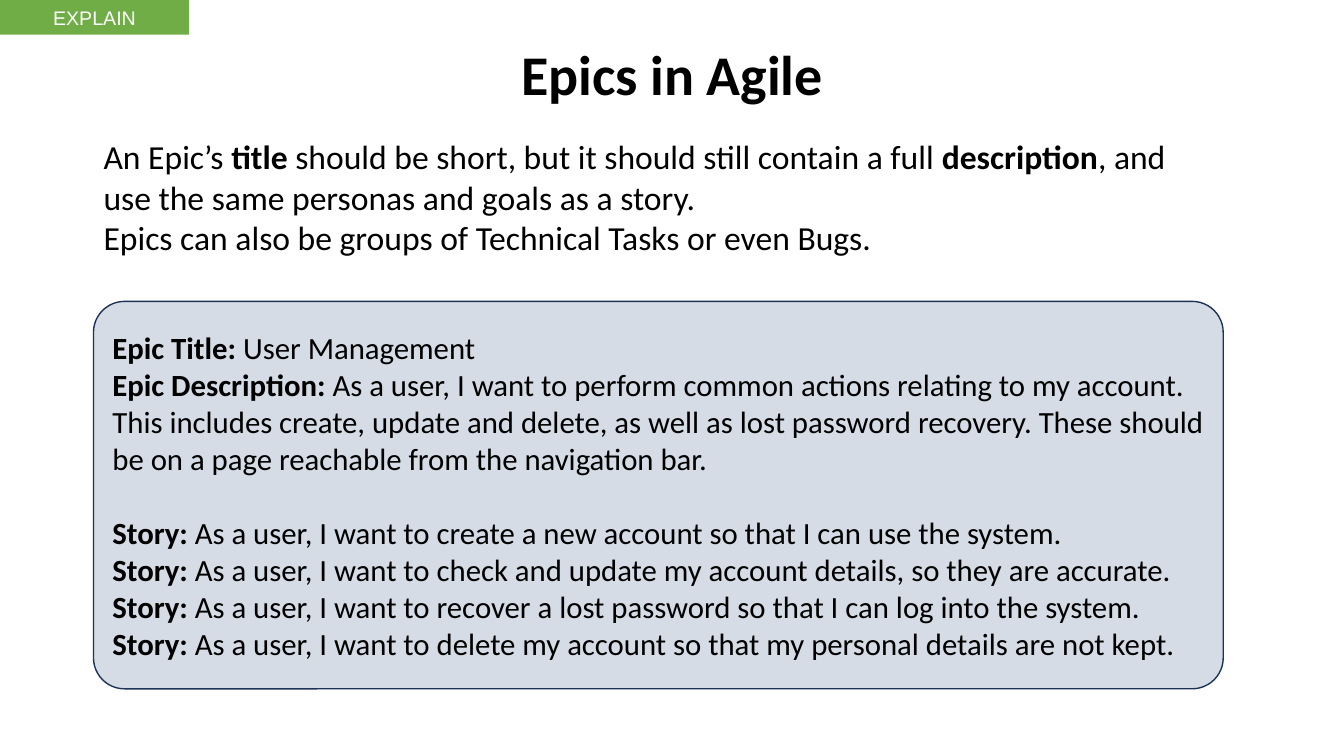
from pptx import Presentation
from pptx.dml.color import RGBColor
from pptx.enum.shapes import MSO_SHAPE as Shape
from pptx.enum.text import MSO_ANCHOR as Anchor, MSO_AUTO_SIZE as AutoSize, PP_ALIGN as Align
from pptx.oxml.ns import qn
from pptx.util import Emu, Pt

EMU_PER_PX = 9525


def px(length):
    return Emu(length * EMU_PER_PX)


def colour(hex_string):
    return RGBColor.from_string(hex_string)


def remove_bullet(paragraph):
    properties = paragraph._p.get_or_add_pPr()
    properties.set("marL", "0")
    properties.set("indent", "0")
    properties.append(properties.makeelement(qn("a:buNone"), {}))


def write(shape, lines, size, font="Calibri", color="000000", bold=False,
          align=Align.LEFT, anchor=Anchor.TOP, gaps=None):
    """Fill a shape with lines; **...** marks bold, gaps maps line index to points before."""
    frame = shape.text_frame
    frame.word_wrap = True
    frame.auto_size = AutoSize.NONE
    frame.vertical_anchor = anchor
    for index, line in enumerate(lines):
        paragraph = frame.paragraphs[0] if index == 0 else frame.add_paragraph()
        paragraph.alignment = align
        paragraph.space_before = Pt((gaps or {}).get(index, 0))
        for part_index, part in enumerate(line.split("**")):
            if not part:
                continue
            run = paragraph.add_run()
            run.text = part
            run.font.name = font
            run.font.size = Pt(size)
            run.font.bold = bold or part_index % 2 == 1
            run.font.color.rgb = colour(color)


class SlideBuilder:
    GREEN, PALE_BLUE, NAVY, WHITE = "70AD47", "D6DCE5", "1E3256", "FFFFFF"

    def __init__(self, slide):
        self.slide = slide

    def place(self, shape, left, top, width, height):
        shape.left, shape.top = px(left), px(top)
        shape.width, shape.height = px(width), px(height)

    def panel(self, kind, box, fill, line=None):
        shape = self.slide.shapes.add_shape(kind, *map(px, box))
        shape.shadow.inherit = False
        shape.fill.solid()
        shape.fill.fore_color.rgb = colour(fill)
        if line:
            shape.line.color.rgb = colour(line)
            shape.line.width = Pt(1)
        else:
            shape.line.fill.background()
        return shape

    def badge(self, text, box):
        shape = self.panel(Shape.RECTANGLE, box, self.GREEN)
        write(shape, [text], 14, font="Arial", color=self.WHITE,
              align=Align.CENTER, anchor=Anchor.MIDDLE)

    def title(self, text, box):
        shape = self.slide.shapes.title
        self.place(shape, *box)
        write(shape, [text], 40, bold=True, align=Align.CENTER)

    def body(self, lines, box):
        shape = self.slide.placeholders[1]
        self.place(shape, *box)
        write(shape, lines, 24)
        for paragraph in shape.text_frame.paragraphs:
            remove_bullet(paragraph)

    def card(self, lines, box, gaps):
        shape = self.panel(Shape.ROUNDED_RECTANGLE, box, self.PALE_BLUE, self.NAVY)
        shape.adjustments[0] = 0.08
        write(shape, lines, 22, anchor=Anchor.MIDDLE, gaps=gaps)


def main():
    presentation = Presentation()
    presentation.slide_width, presentation.slide_height = px(1280), px(720)
    builder = SlideBuilder(presentation.slides.add_slide(presentation.slide_layouts[1]))

    builder.badge("EXPLAIN", (0, 0, 180, 33))
    builder.title("Epics in Agile", (0, 33, 1280, 74))
    builder.body([
        "An Epic’s **title** should be short, but it should still contain a full "
        "**description**, and use the same personas and goals as a story.",
        "Epics can also be groups of Technical Tasks or even Bugs.",
    ], (89, 125, 1056, 126))

    epic = [
        "**Epic Title: **User Management",
        "**Epic Description: **As a user, I want to perform common actions relating to my "
        "account. This includes create, update and delete, as well as lost password recovery. "
        "These should be on a page reachable from the navigation bar.",
    ]
    goals = [
        "create a new account so that I can use the system.",
        "check and update my account details, so they are accurate.",
        "recover a lost password so that I can log into the system.",
        "delete my account so that my personal details are not kept.",
    ]
    stories = [f"**Story: **As a user, I want to {goal}" for goal in goals]
    builder.card(epic + stories, (89, 287, 1076, 369), gaps={len(epic): 27})

    presentation.save("out.pptx")


if __name__ == "__main__":
    main()
